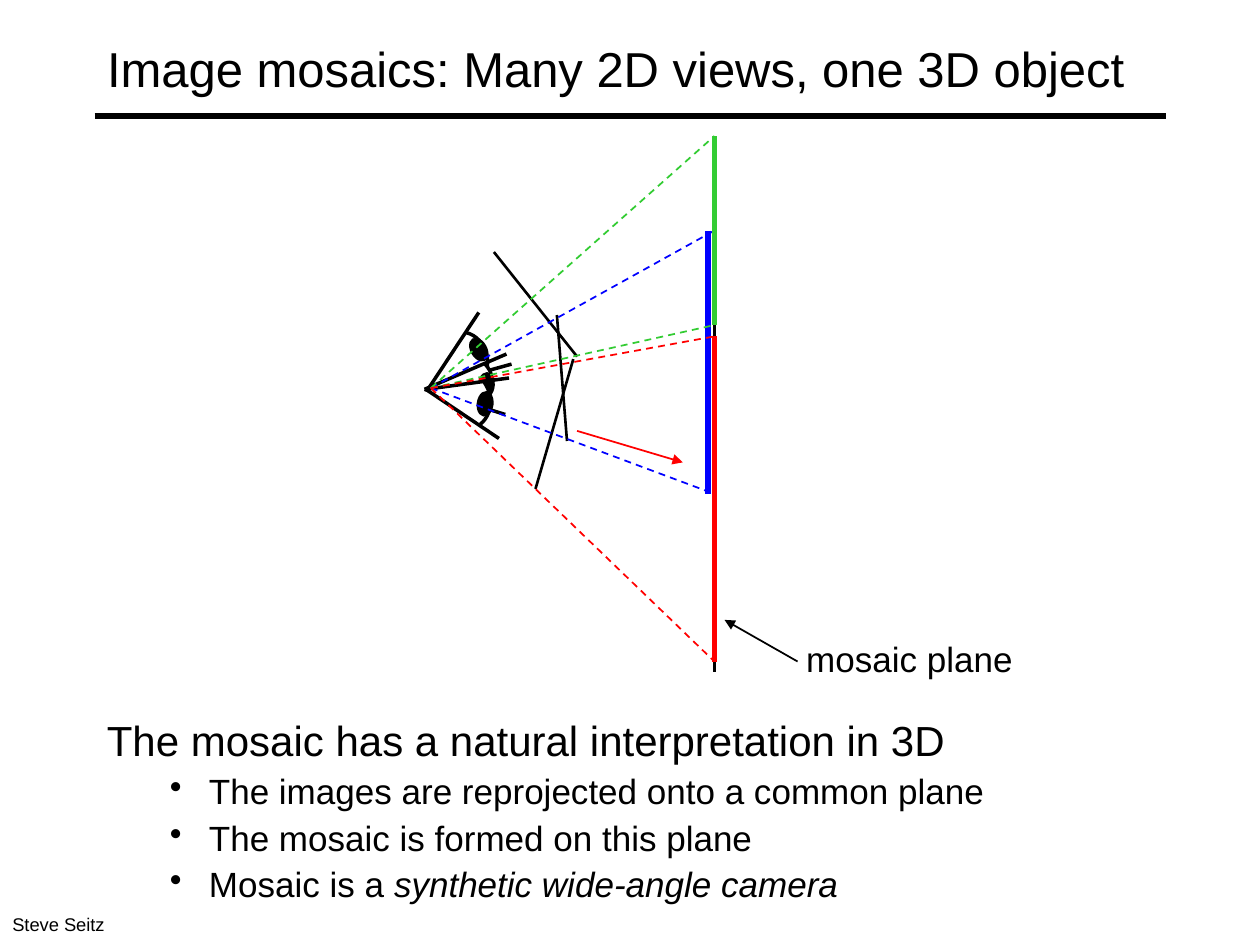
from collections import namedtuple

from lxml import etree
from pptx import Presentation
from pptx import util as u
from pptx.dml.color import RGBColor
from pptx.enum import dml, shapes, text
from pptx.oxml.ns import qn

PX = 9144
FONT = "Arial"
COLORS = {"ink": "000000", "paper": "FFFFFF", "blue": "0000FF", "green": "33CC33", "red": "FF0000"}

Box = namedtuple("Box", "left top width height")
Eye = namedtuple("Eye", "apex corner lids iris pupil tilt")

EYES = [
    Eye((41, 207), (64, 189), [(80, 148), (106, 189)],
        [(70, 164), (82, 167), (90, 181), (86, 194)], (74, 168), 330.3),
    Eye((37, 209), (37, 209), [(102, 181), (101, 229)],
        [(85, 189), (94, 198), (92, 213), (82, 223)], (80, 196), 3.4),
    Eye((38, 209), (38, 209), [(96, 248), (104, 200)],
        [(81, 237), (91, 229), (92, 214), (84, 203)], (79, 211), 7.2),
]
IMAGE_PLANES = [((92, 100), (158, 183)), ((142, 150), (150, 250)), ((125, 288), (155, 185))]
VIEWS = [("blue", 262, 83, 292), ("green", 267, 8, 158), ("red", 267, 167, 425)]
VIEWPOINT = (42, 208)
MOSAIC_X = 267


def rgb(name):
    """Return the named palette colour."""
    return RGBColor.from_string(COLORS[name])


def emu(box, point):
    """Turn a point relative to a box into slide EMU."""
    return (box.left + point[0]) * PX, (box.top + point[1]) * PX


def add_line(slide, box, start, end, color="ink", weight=1.5, dashed=False, arrow=False):
    """Draw a straight line between two points of a box."""
    line = slide.shapes.add_connector(
        shapes.MSO_CONNECTOR.STRAIGHT, *emu(box, start), *emu(box, end))
    line.line.color.rgb = rgb(color)
    line.line.width = u.Pt(weight)
    if dashed:
        line.line.dash_style = dml.MSO_LINE.DASH
    properties = line._element.spPr
    if arrow:
        etree.SubElement(properties.find(qn("a:ln")), qn("a:tailEnd"), type="triangle")
    etree.SubElement(properties, qn("a:effectLst"))


def add_outline(slide, box, points, closed):
    """Draw a white area without edge, or an open black curve."""
    start, *rest = [emu(box, point) for point in points]
    builder = slide.shapes.build_freeform(*start)
    builder.add_line_segments(rest, close=closed)
    outline = builder.convert_to_shape()
    outline.shadow.inherit = False
    if closed:
        outline.fill.solid()
        outline.fill.fore_color.rgb = rgb("paper")
        outline.line.fill.background()
    else:
        outline.fill.background()
        outline.line.color.rgb = rgb("ink")
        outline.line.width = u.Pt(2)


def curve(controls, steps=12):
    """Sample a cubic Bezier curve."""
    def at(t):
        weights = ((1 - t) ** 3, 3 * t * (1 - t) ** 2, 3 * t * t * (1 - t), t ** 3)
        return tuple(sum(w * c[axis] for w, c in zip(weights, controls)) for axis in (0, 1))
    return [at(step / steps) for step in range(steps + 1)]


def add_run(paragraph, words, size, italic=None):
    """Add one formatted run."""
    run = paragraph.add_run()
    run.text = words
    run.font.name = FONT
    run.font.size = u.Pt(size)
    run.font.italic = italic
    run.font.color.rgb = rgb("ink")


def add_text_frame(slide, box, wrap=True):
    """Add a text box and return its frame."""
    frame = slide.shapes.add_textbox(*(length * PX for length in box)).text_frame
    frame.word_wrap = wrap
    return frame


def add_header(slide, box):
    """Place the title and the rule under it."""
    title = slide.shapes.title
    title.left, title.top, title.width, title.height = (length * PX for length in box)
    title.text_frame.vertical_anchor = text.MSO_ANCHOR.MIDDLE
    paragraph = title.text_frame.paragraphs[0]
    paragraph.alignment = text.PP_ALIGN.LEFT
    add_run(paragraph, "Image mosaics: Many 2D views, one 3D object", 28)
    add_line(slide, box, (0, 84), (850, 84), weight=3)


def add_eye(slide, box, eye):
    """Draw one eye looking out from its apex."""
    iris = curve(eye.iris)
    add_outline(slide, box, [eye.corner, *iris], closed=True)
    add_outline(slide, box, iris, closed=False)
    pupil = slide.shapes.add_shape(
        shapes.MSO_SHAPE.OVAL, *emu(box, eye.pupil), 12 * PX, 19 * PX)
    pupil.rotation = eye.tilt
    pupil.shadow.inherit = False
    pupil.fill.solid()
    pupil.fill.fore_color.rgb = rgb("ink")
    pupil.line.color.rgb = rgb("ink")
    pupil.line.width = u.Pt(1)
    for lid in eye.lids:
        add_line(slide, box, eye.apex, lid, weight=2)


def add_diagram(slide, box):
    """Draw the eyes, their image planes and the views on the mosaic plane."""
    add_line(slide, box, (MOSAIC_X, 8), (MOSAIC_X, 433))
    label = add_text_frame(slide, Box(box.left + 330, box.top + 401, 193, 44), wrap=False)
    add_run(label.paragraphs[0], "mosaic plane", 20)
    add_line(slide, box, (333, 425), (275, 392), weight=1, arrow=True)
    for eye, image_plane in zip(EYES, IMAGE_PLANES):
        add_eye(slide, box, eye)
        add_line(slide, box, *image_plane)
    for color, view_x, top, bottom in VIEWS:
        for edge in (top, bottom):
            add_line(slide, box, VIEWPOINT, (MOSAIC_X, edge), color, 1, dashed=True)
        add_line(slide, box, (view_x, top), (view_x, bottom), color, 3)
    add_line(slide, box, (158, 242), (242, 267), "red", 1, arrow=True)


def add_interpretation(slide, box):
    """Write the statement and its bullets."""
    frame = add_text_frame(slide, box)
    statement = frame.paragraphs[0]
    statement.line_spacing = 0.9
    add_run(statement, "The mosaic has a natural interpretation in 3D", 24)
    bullets = [
        [("The images are reprojected onto a common plane", None)],
        [("The mosaic is formed on this plane", None)],
        [("Mosaic is a ", None), ("synthetic wide-angle camera", True)],
    ]
    for runs in bullets:
        bullet = frame.add_paragraph()
        properties = bullet._p.get_or_add_pPr()
        properties.set("marL", str(81 * PX))
        properties.set("indent", str(-31 * PX))
        etree.SubElement(properties, qn("a:buChar"), char="•")
        bullet.line_spacing = 0.9
        bullet.space_before = u.Pt(5)
        for words, italic in runs:
            add_run(bullet, words, 20, italic)


def add_credit(slide, box):
    """Write the author's name."""
    add_run(add_text_frame(slide, box).paragraphs[0], "Steve Seitz", 10.5)


def main():
    """Build and save the slide."""
    deck = Presentation()
    deck.slide_width, deck.slide_height = 1000 * PX, 750 * PX
    slide = deck.slides.add_slide(deck.slide_layouts[5])
    add_header(slide, Box(75, 8, 925, 92))
    add_diagram(slide, Box(300, 100, 523, 445))
    add_interpretation(slide, Box(75, 567, 850, 167))
    add_credit(slide, Box(0, 720, 280, 29))
    deck.save("out.pptx")


if __name__ == "__main__":
    main()
